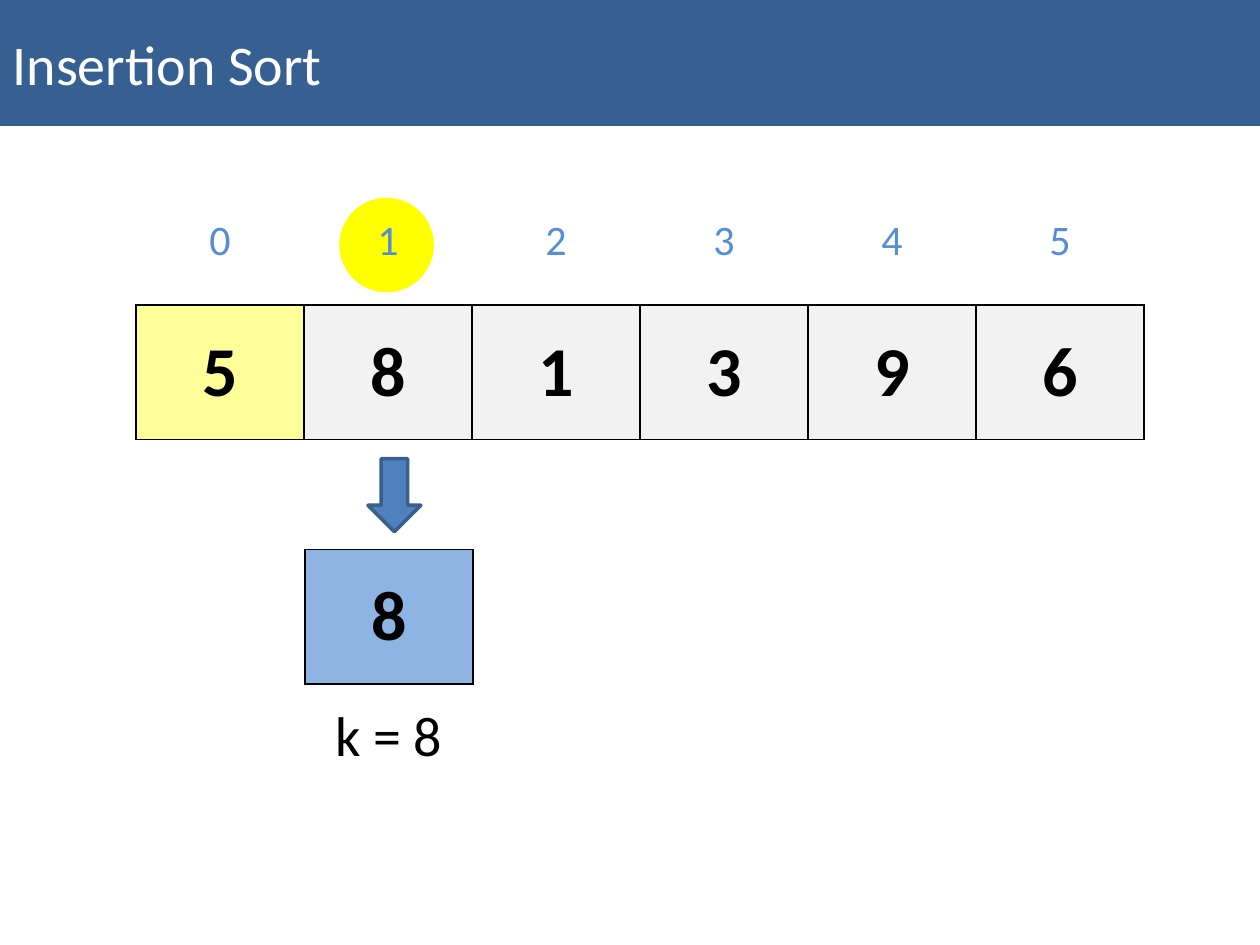
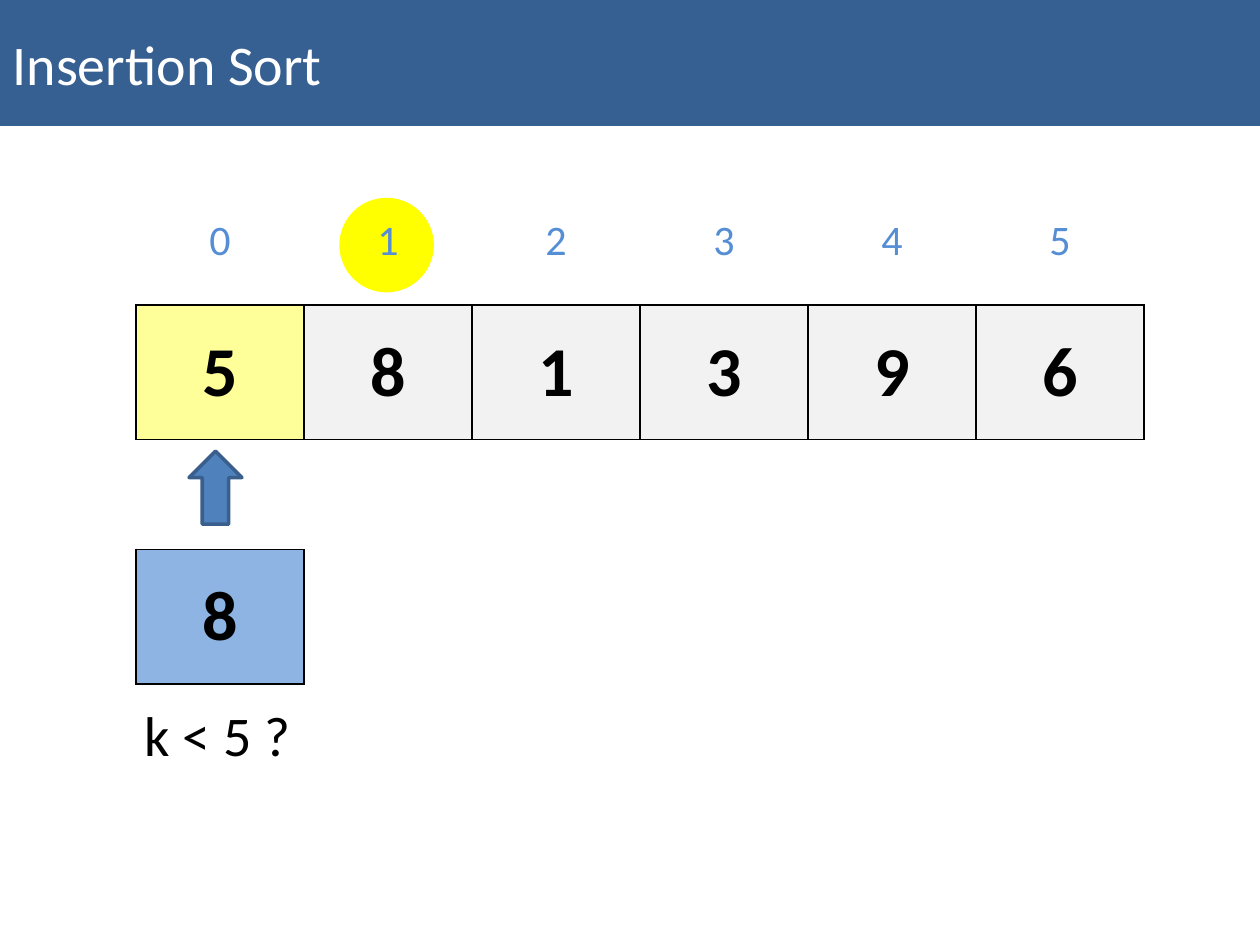
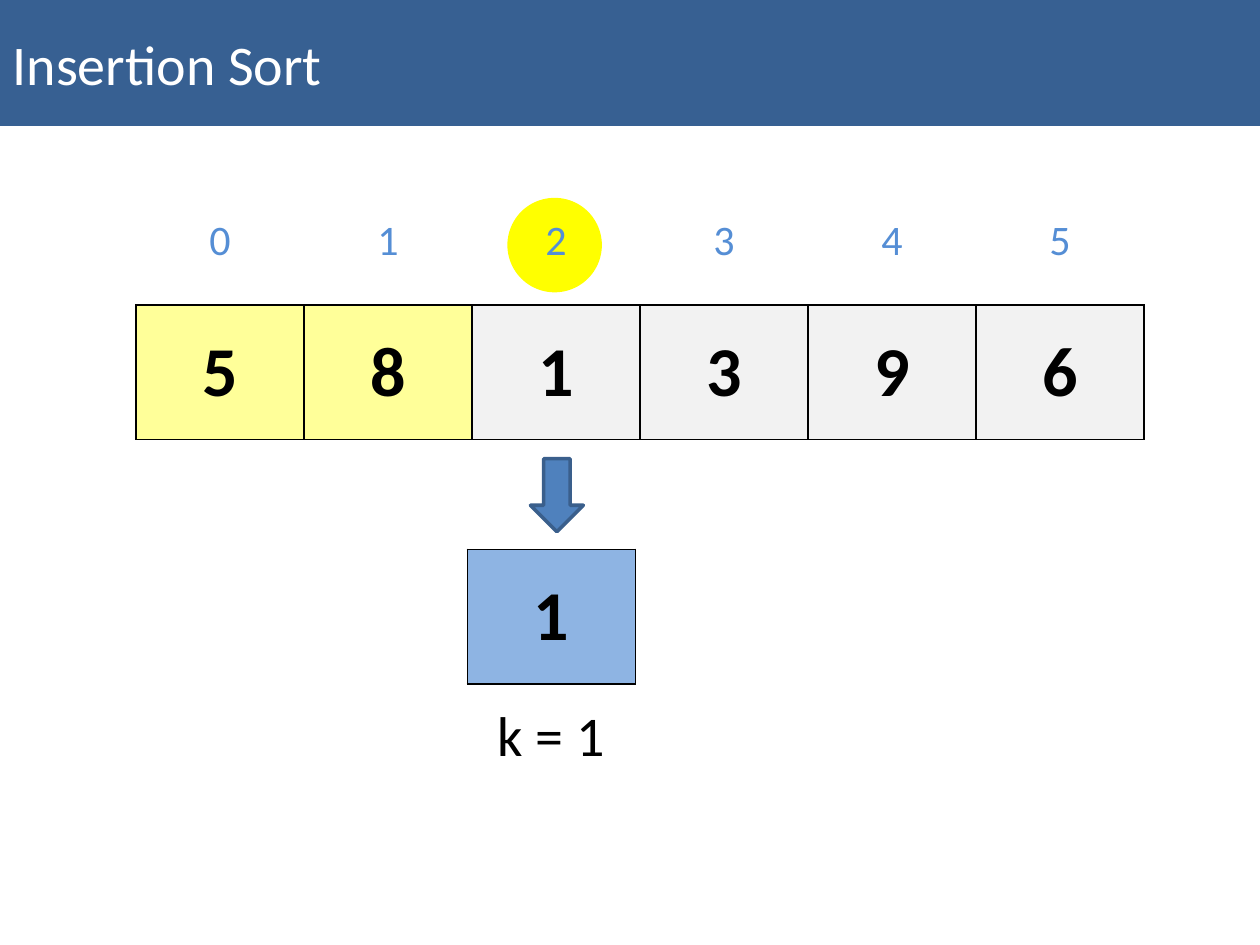
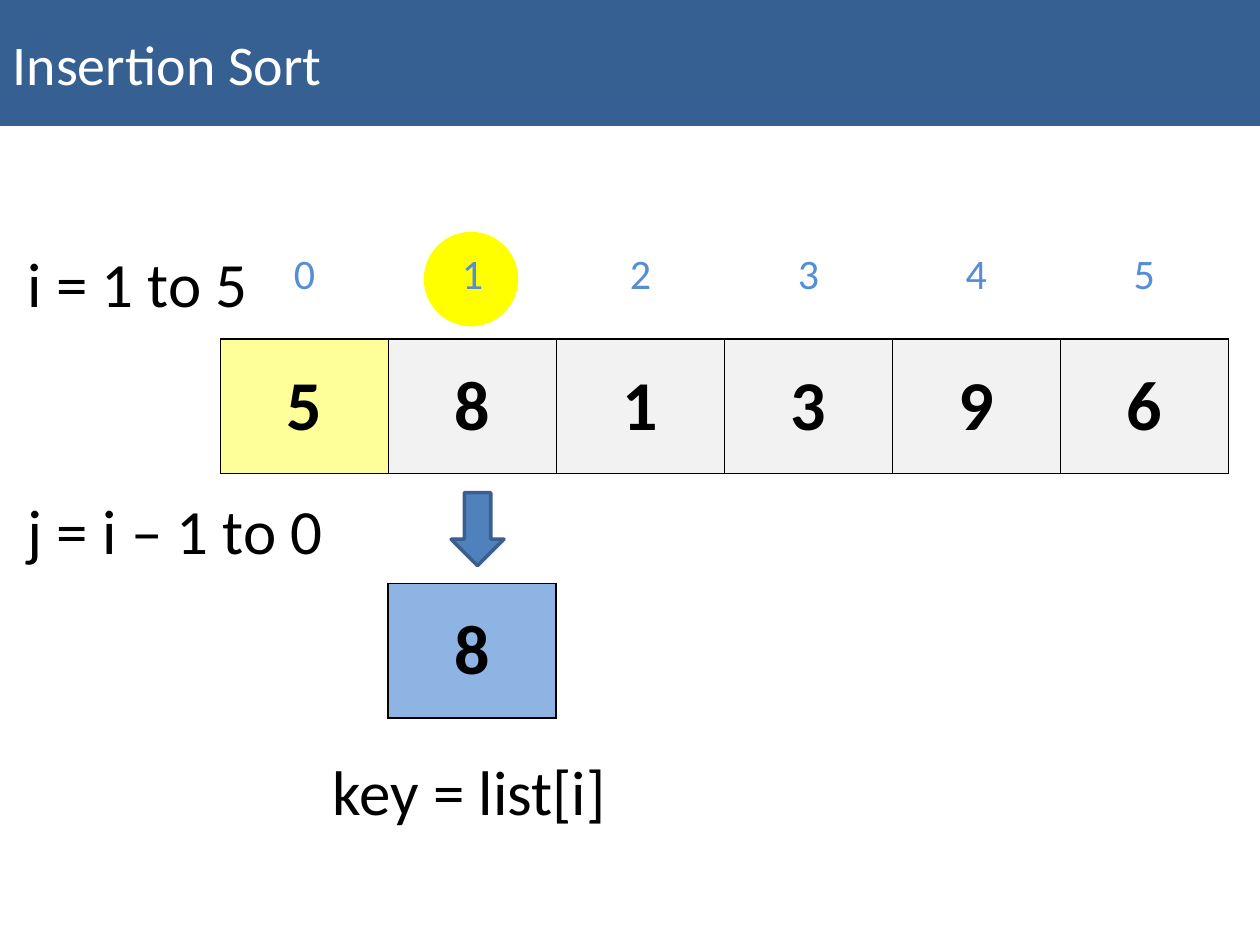
from lxml.etree import SubElement
from pptx import Presentation
from pptx.dml.color import RGBColor
from pptx.enum.shapes import MSO_SHAPE
from pptx.enum.text import MSO_ANCHOR, MSO_AUTO_SIZE, PP_ALIGN
from pptx.oxml.ns import qn
from pptx.util import Inches, Pt

rgb = RGBColor.from_string
FONT = "Calibri"
BLACK, WHITE, BAND = "000000", "FFFFFF", "376092"
SORTED, REST, KEY, MARK = "FFFF99", "F2F2F2", "8EB4E3", "FFFF00"
INDEX, ARROW, EDGE = "558ED5", "4F81BD", "3A5F8C"
PLAIN = "{2D5ABB26-0587-4C30-8999-92F81FD0307C}"  # table style: no grid
CELL = 8 / 6
VALUES = [5, 8, 1, 3, 9, 6]


def add_row(slide, left, top, height, values, fills=None, size=40, color=BLACK):
    """Add a one-row table; without fills it has no borders either."""
    frame = slide.shapes.add_table(1, len(values), Inches(left), Inches(top),
                                   Inches(CELL * len(values)), Inches(height))
    table = frame.table
    table.first_row = table.horz_banding = False
    frame._element.find(".//" + qn("a:tableStyleId")).text = PLAIN
    for col, value in enumerate(values):
        cell = table.cell(0, col)
        cell.text = str(value)
        cell.vertical_anchor = MSO_ANCHOR.MIDDLE
        para = cell.text_frame.paragraphs[0]
        para.alignment = PP_ALIGN.CENTER
        para.font.name, para.font.size = FONT, Pt(size)
        para.font.bold = fills is not None
        para.font.color.rgb = rgb(color)
        if fills is None:
            cell.fill.background()
            continue
        props = cell._tc.get_or_add_tcPr()
        for side in ("a:lnL", "a:lnR", "a:lnT", "a:lnB"):
            line = SubElement(props, qn(side), w=str(Pt(1)))
            solid = SubElement(line, qn("a:solidFill"))
            SubElement(solid, qn("a:srgbClr"), val=BLACK)
        cell.fill.solid()
        cell.fill.fore_color.rgb = rgb(fills[col])


def add_note(slide, text, left, top, width, size, align=PP_ALIGN.CENTER):
    height = 0.64 if size == 32 else 0.71
    box = slide.shapes.add_textbox(Inches(left), Inches(top), Inches(width), Inches(height))
    frame = box.text_frame
    frame.word_wrap = True
    frame.auto_size = MSO_AUTO_SIZE.SHAPE_TO_FIT_TEXT
    para = frame.paragraphs[0]
    para.text, para.alignment = text, align
    para.font.name, para.font.size = FONT, Pt(size)
    para.font.color.rgb = rgb(BLACK)


prs = Presentation()
prs.slide_width, prs.slide_height = Inches(10), Inches(7.5)

# row left, row top, current index, key, key left, arrow up, note
steps = [
    (1.08, 1.58, 1, 8, 2.42, False, ("k = 8", 2.42, 5.51, 1.33, 32)),
    (1.08, 1.58, 1, 8, 1.08, True, ("k < 5 ?", 0.92, 5.51, 1.61, 32)),
    (1.08, 1.58, 2, 1, 3.71, False, ("k = 1", 3.71, 5.51, 1.33, 32)),
    (1.75, 1.85, 1, 8, 3.08, False, ("key = list[i]", 2.31, 5.92, 2.83, 36)),
]

for left, top, now, key, key_left, up, note in steps:
    slide = prs.slides.add_slide(prs.slide_layouts[5])
    title = slide.shapes.title
    title.left, title.top, title.width, title.height = 0, 0, prs.slide_width, Inches(1)
    title.fill.solid()
    title.fill.fore_color.rgb = rgb(BAND)
    title.text = "Insertion Sort"
    title.text_frame.vertical_anchor = MSO_ANCHOR.MIDDLE
    para = title.text_frame.paragraphs[0]
    para.alignment = PP_ALIGN.LEFT
    para.font.name, para.font.size = FONT, Pt(32)
    para.font.color.rgb = rgb(WHITE)

    mark = slide.shapes.add_shape(MSO_SHAPE.OVAL, Inches(left + now * CELL + 0.28),
                                  Inches(top - 0.01), Inches(0.75), Inches(0.75))
    mark.shadow.inherit = False
    mark.fill.solid()
    mark.fill.fore_color.rgb = rgb(MARK)
    mark.line.fill.background()

    fills = [SORTED] * now + [REST] * (len(VALUES) - now)
    add_row(slide, left, top + 0.84, 1.07, VALUES, fills)
    add_row(slide, key_left, top + 2.78, 1.07, [key], [KEY])
    add_note(slide, *note)
    add_row(slide, left, top, 0.67, range(len(VALUES)), size=24, color=INDEX)

    shift, drop = (0.42, 2) if up else (0.5, 2.06)
    arrow = slide.shapes.add_shape(MSO_SHAPE.DOWN_ARROW, Inches(key_left + shift),
                                   Inches(top + drop), Inches(0.42), Inches(0.58))
    arrow.rotation = 180 if up else 0
    arrow.shadow.inherit = False
    arrow.fill.solid()
    arrow.fill.fore_color.rgb = rgb(ARROW)
    arrow.line.color.rgb = rgb(EDGE)
    arrow.line.width = Pt(2)

# The last slide also names the two loops.
add_note(slide, "i = 1 to 5", 0.12, 1.89, 2.38, 36, PP_ALIGN.LEFT)
add_note(slide, "j = i – 1 to 0", 0.12, 3.85, 2.88, 36, PP_ALIGN.LEFT)

prs.save("out.pptx")
